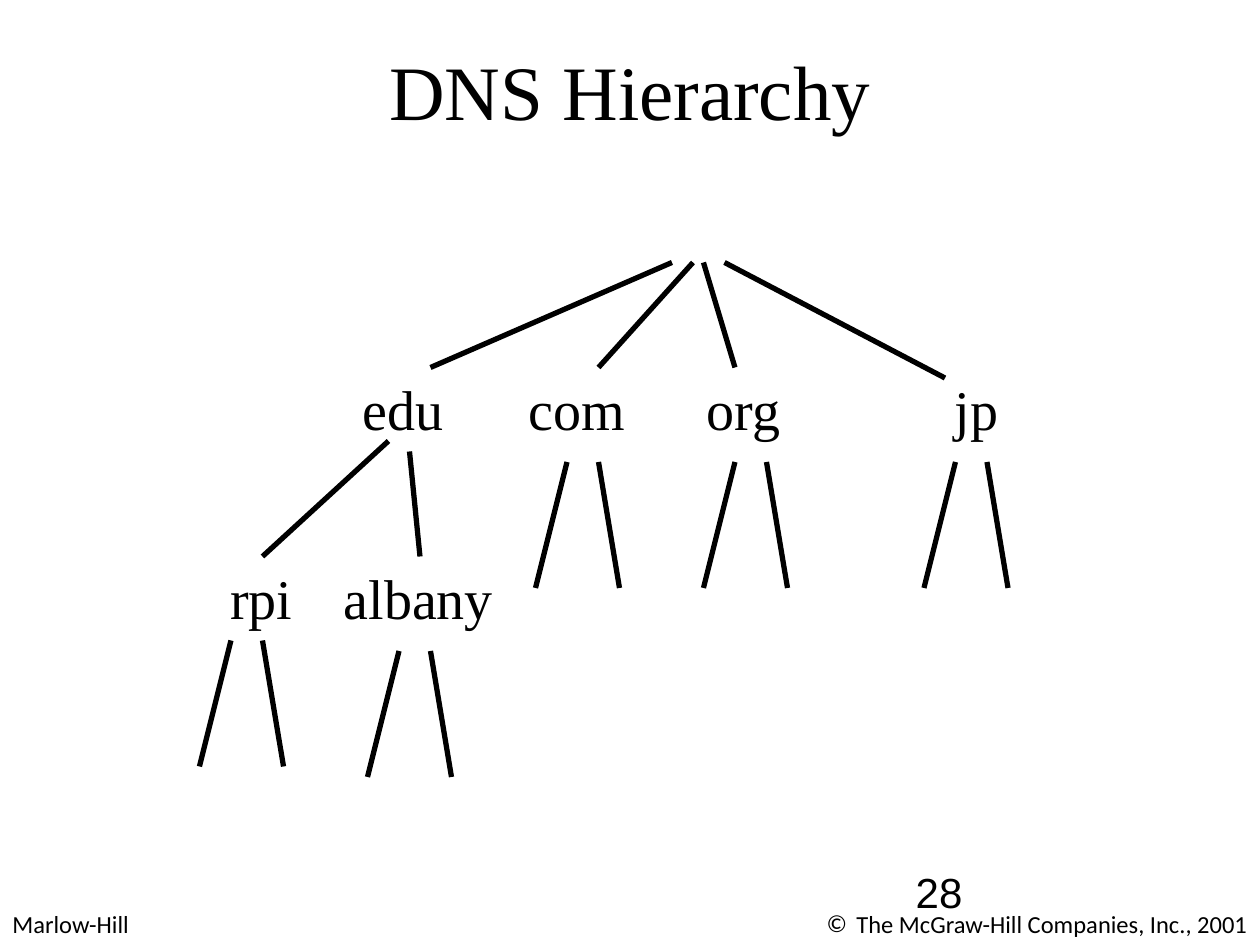
from lxml import etree
from pptx import Presentation
from pptx.dml.color import RGBColor
from pptx.enum import shapes, text
from pptx.oxml.ns import qn
from pptx.util import Cm, Pt

THEME = {
    "ink": RGBColor(0, 0, 0),
    "paper": RGBColor(255, 255, 255),
    "line": Pt(3),
    "title": {"name": "Times New Roman", "size": Pt(44)},
    "node": {"name": "Times New Roman", "size": Pt(32)},
    "number": {"name": "Arial", "size": Pt(24)},
    "footer": {"name": "Calibri", "size": Pt(14)},
}
LEFT, CENTER, RIGHT = (text.PP_ALIGN.LEFT, text.PP_ALIGN.CENTER,
                       text.PP_ALIGN.RIGHT)

FRAME = [
    ("Marlow-Hill", "footer", LEFT, (0, 18.21, 6.15, 0.86)),
    ("The McGraw-Hill Companies, Inc., 2001", "footer", RIGHT,
     (12.7, 18.21, 12.7, 0.86)),
    ("28", "number", LEFT, (18.21, 17.35, 5.28, 1.27)),
    ("DNS Hierarchy", "title", CENTER, (1.27, 0.76, 22.86, 3.18)),
]
BULLETS = {"The McGraw-Hill Companies, Inc., 2001": "©"}

LEVELS = [
    (7.43, [("edu", 7.06, 2.2), ("com", 10.41, 2.5),
            ("org", 14, 2.1), ("jp", 19, 1.45)]),
    (11.24, [("rpi", 4.39, 1.85), ("albany", 6.68, 3.6)]),
]
NODE_HEIGHT = 1.6

GRID = 2.54 / 12
BRANCHES = [
    ((64, 25), (41, 35)), ((66, 25), (57, 35)),
    ((67, 25), (70, 35)), ((69, 25), (90, 36)),
    ((37, 42), (25, 53)), ((39, 43), (40, 53)),
]
TWIG_TOPS = [(22, 61), (91, 44), (70, 44), (54, 44), (38, 62)]
TWIG_PAIR = [(0, -3), (3, 5)]
TWIG_DROP = 12


def add_text(s, words, style, align, box, wrap=True):
    sp = s.shapes.add_textbox(*map(Cm, box))
    tf = sp.text_frame
    tf.word_wrap = wrap
    if not wrap:
        tf.auto_size = text.MSO_AUTO_SIZE.SHAPE_TO_FIT_TEXT
    tf.vertical_anchor = text.MSO_ANCHOR.TOP
    p = tf.paragraphs[0]
    p.alignment = align
    if words in BULLETS:
        pPr = p._p.get_or_add_pPr()
        pPr.set("marL", str(Cm(0.6)))
        pPr.set("indent", str(-Cm(0.6)))
        etree.SubElement(pPr, qn("a:buFont"), typeface=THEME[style]["name"])
        etree.SubElement(pPr, qn("a:buChar"), char=BULLETS[words])
    r = p.add_run()
    r.text = words
    for key, value in THEME[style].items():
        setattr(r.font, key, value)
    r.font.color.rgb = THEME["ink"]


def add_line(s, start, end):
    ends = [Cm(v * GRID) for v in (*start, *end)]
    sp = s.shapes.add_connector(shapes.MSO_CONNECTOR.STRAIGHT, *ends)
    sp.line.color.rgb = THEME["ink"]
    sp.line.width = THEME["line"]
    etree.SubElement(sp._element.spPr, qn("a:effectLst"))


def main():
    prs = Presentation()
    prs.slide_width, prs.slide_height = Cm(25.4), Cm(19.05)
    s = prs.slides.add_slide(prs.slide_layouts[6])
    s.background.fill.solid()
    s.background.fill.fore_color.rgb = THEME["paper"]

    for words, style, align, box in FRAME:
        add_text(s, words, style, align, box)
    for top, nodes in LEVELS:
        for name, left, width in nodes:
            add_text(s, name, "node", LEFT,
                     (left, top, width, NODE_HEIGHT), wrap=False)

    for start, end in BRANCHES:
        add_line(s, start, end)
    for x, y in TWIG_TOPS:
        for dx_top, dx_foot in TWIG_PAIR:
            add_line(s, (x + dx_top, y), (x + dx_foot, y + TWIG_DROP))

    prs.save("out.pptx")


if __name__ == "__main__":
    main()
